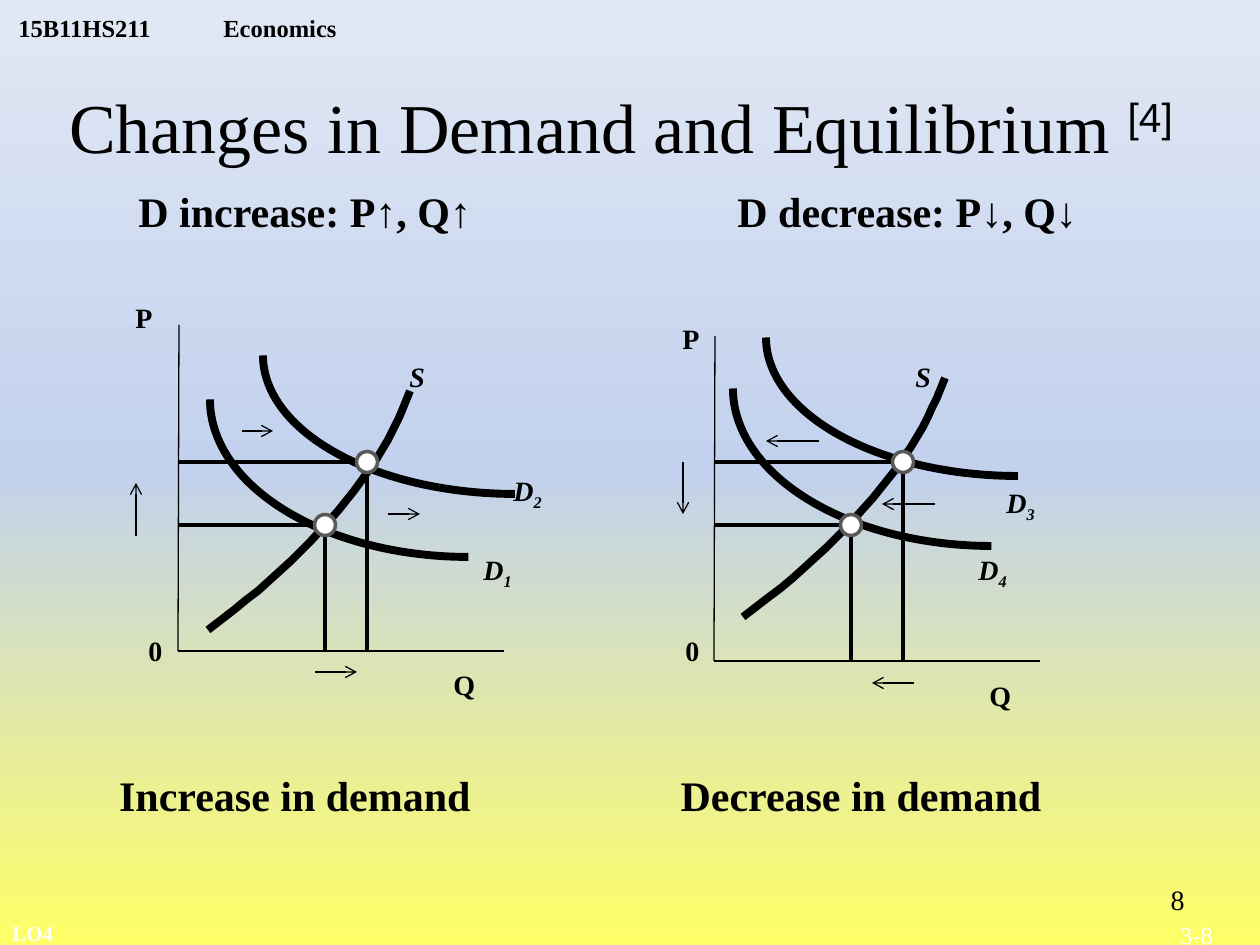
import copy

import pptx
import pptx.dml.color
import pptx.enum.shapes
import pptx.enum.text
import pptx.oxml.ns
import pptx.util
from lxml import etree

PX = 914400 / 126
SERIF = "Times New Roman"
BLACK, WHITE, GREY = "000000", "FFFFFF", "595959"
ALIGN = pptx.enum.text.PP_ALIGN
ANCHOR = pptx.enum.text.MSO_ANCHOR
SHAPES = pptx.enum.shapes.MSO_SHAPE
qn = pptx.oxml.ns.qn

BOLD = {"bold": True}
BOLD_ITALIC = {"bold": True, "italic": True}
BACKGROUND_STOPS = [(0, "FFFF66"), (0.5, "C2D1ED"), (1, "E1E8F5")]
SUPPLY_OFFSETS = [
    (0, 0), (-8, 20), (-16, 39), (-28, 59), (-40, 79), (-55, 100), (-72, 120),
    (-89, 139), (-108, 160), (-130, 180), (-151, 200), (-176, 219), (-202, 239),
]
INCREASE = {
    "axis_top": (179, 325),
    "origin": (178, 651),
    "supply_top": (410, 391),
    "demand": [(210, 242, 517, 315), (263, 217, 504, 277)],
    "equilibria": [(325, 525), (367, 462)],
    "arrows": [(242, 431, 273, 431), (388, 514, 420, 514),
               (315, 672, 357, 672), (136, 536, 136, 483)],
    "labels": [("P", "", 123, 294), ("0", "", 136, 627), ("Q", "", 441, 661),
               ("S", "", 397, 353), ("D", "1", 471, 546), ("D", "2", 501, 467)],
}
DECREASE = {
    "axis_top": (715, 336),
    "origin": (714, 661),
    "supply_top": (945, 378),
    "demand": [(766, 199, 504, 277), (733, 231, 517, 315)],
    "equilibria": [(851, 525), (903, 462)],
    "arrows": [(819, 441, 766, 441), (935, 504, 882, 504),
               (914, 683, 872, 683), (683, 462, 683, 514)],
    "labels": [("P", "", 670, 315), ("0", "", 673, 627), ("Q", "", 977, 672),
               ("S", "", 903, 353), ("D", "3", 994, 479), ("D", "4", 966, 546)],
}


def emu(*lengths):
    return [pptx.util.Emu(round(length * PX)) for length in lengths]


def rgb(color):
    return pptx.dml.color.RGBColor.from_string(color)


def apply(target, values):
    for name, value in values.items():
        setattr(target, name, value)


def style_line(shape, color, width):
    shape.line.color.rgb = rgb(color)
    shape.line.width = pptx.util.Pt(width)


def add_text(slide, box, runs, size, color=BLACK, wrap=True,
             anchor=ANCHOR.TOP, align=ALIGN.LEFT, tab=None):
    shape = slide.shapes.add_textbox(*emu(*box))
    frame = shape.text_frame
    apply(frame, {"word_wrap": wrap, "vertical_anchor": anchor})
    paragraph = frame.paragraphs[0]
    paragraph.alignment = align
    if tab:
        tabs = etree.SubElement(paragraph._p.get_or_add_pPr(), qn("a:tabLst"))
        etree.SubElement(tabs, qn("a:tab"), pos=str(emu(tab)[0]), algn="l")
    for text, values, baseline in runs:
        run = paragraph.add_run()
        run.text = text
        apply(run.font, {"name": SERIF, "size": pptx.util.Pt(size), **values})
        run.font.color.rgb = rgb(color)
        if baseline:
            run.font._element.set("baseline", str(baseline * 1000))
    return frame


def add_line(slide, ends, width, arrow=False):
    connector = slide.shapes.add_connector(
        pptx.enum.shapes.MSO_CONNECTOR.STRAIGHT, *emu(*ends))
    style_line(connector, BLACK, width)
    properties = connector._element.spPr
    if arrow:
        etree.SubElement(properties.find(qn("a:ln")), qn("a:tailEnd"), type="arrow")
    etree.SubElement(properties, qn("a:effectLst"))


def add_demand_curve(slide, ellipse):
    arc = slide.shapes.add_shape(SHAPES.ARC, *emu(*ellipse))
    arc.shadow.inherit = False
    for index, degrees in enumerate((90, 180)):
        arc.adjustments[index] = degrees * 0.6
    arc.fill.background()
    style_line(arc, BLACK, 4.5)


def bezier_point(controls, t):
    weights = ((1 - t) ** 3, 3 * t * (1 - t) ** 2, 3 * t ** 2 * (1 - t), t ** 3)
    return tuple(sum(w * point[axis] for w, point in zip(weights, controls))
                 for axis in (0, 1))


def add_supply_curve(slide, top, steps=6):
    controls = [(top[0] + x, top[1] + y) for x, y in SUPPLY_OFFSETS]
    points = [bezier_point(controls[first:first + 4], step / steps)
              for first in range(0, len(controls) - 1, 3)
              for step in range(1, steps + 1)]
    builder = slide.shapes.build_freeform(*top, scale=PX)
    builder.add_line_segments(points, close=False)
    curve = builder.convert_to_shape()
    curve.shadow.inherit = False
    curve.fill.background()
    style_line(curve, BLACK, 4.5)


def add_equilibrium(slide, x, y, diameter=21):
    radius = diameter / 2
    marker = slide.shapes.add_shape(
        SHAPES.OVAL, *emu(x - radius, y - radius, diameter, diameter))
    marker.shadow.inherit = False
    marker.fill.solid()
    marker.fill.fore_color.rgb = rgb(WHITE)
    style_line(marker, GREY, 2)


def add_label(slide, letter, subscript, left, top):
    values = BOLD_ITALIC if letter in "SD" else BOLD
    runs = [(letter, values, 0)]
    if subscript:
        runs.append((subscript, values, -25))
    add_text(slide, (left, top, 55, 47), runs, 16, wrap=False)


def add_market_graph(slide, graph):
    left, bottom = graph["origin"]
    for ellipse in graph["demand"]:
        add_demand_curve(slide, ellipse)
    add_supply_curve(slide, graph["supply_top"])
    for x, y in graph["equilibria"]:
        add_line(slide, (x, y, left, y), 2.25)
        add_line(slide, (x, y, x, bottom), 2.25)
        add_equilibrium(slide, x, y)
    add_line(slide, (*graph["axis_top"], left, bottom), 0.75)
    add_line(slide, (left, bottom, left + 326, bottom), 0.75)
    for ends in graph["arrows"]:
        add_line(slide, ends, 0.75, arrow=True)
    for label in graph["labels"]:
        add_label(slide, *label)


def set_background(slide):
    fill = slide.background.fill
    fill.gradient()
    fill.gradient_angle = 90
    stop_list = next(slide._element.iter(qn("a:gsLst")))
    stop_list.append(copy.deepcopy(stop_list[-1]))
    for stop, (position, color) in zip(fill.gradient_stops, BACKGROUND_STOPS):
        stop.position = position
        stop.color.rgb = rgb(color)


def main():
    presentation = pptx.Presentation()
    presentation.slide_width, presentation.slide_height = emu(1260, 945)
    slide = presentation.slides.add_slide(presentation.slide_layouts[6])
    set_background(slide)
    header = add_text(slide, (6, 0, 403, 42), [("15B11HS211\tEconomics", BOLD, 0)],
                      14, anchor=ANCHOR.BOTTOM, tab=205)
    apply(header, {"margin_top": 0, "margin_bottom": 0})
    add_text(slide, (0, 84, 1242, 84),
             [("Changes in Demand and Equilibrium ", {}, 0),
              ("[4]", {"name": "Arial"}, 30)],
             40, anchor=ANCHOR.MIDDLE, align=ALIGN.CENTER)
    for text, box, align in (
            ("D increase: P↑, Q↑", (126, 179, 420, 61), ALIGN.LEFT),
            ("D decrease: P↓, Q↓", (725, 179, 378, 61), ALIGN.LEFT),
            ("Increase in demand", (63, 763, 464, 61), ALIGN.CENTER),
            ("Decrease in demand", (651, 763, 420, 61), ALIGN.CENTER)):
        add_text(slide, box, [(text, BOLD, 0)], 24, align=align)
    for graph in (INCREASE, DECREASE):
        add_market_graph(slide, graph)
    add_text(slide, (0, 914, 67, 38), [("LO4", BOLD, 0)], 12, WHITE, wrap=False)
    add_text(slide, (1168, 914, 60, 42), [("3-8", {}, 0)], 14, WHITE, wrap=False)
    add_text(slide, (903, 876, 294, 50), [("8", {}, 0)], 16, align=ALIGN.RIGHT)
    presentation.save("out.pptx")


if __name__ == "__main__":
    main()
